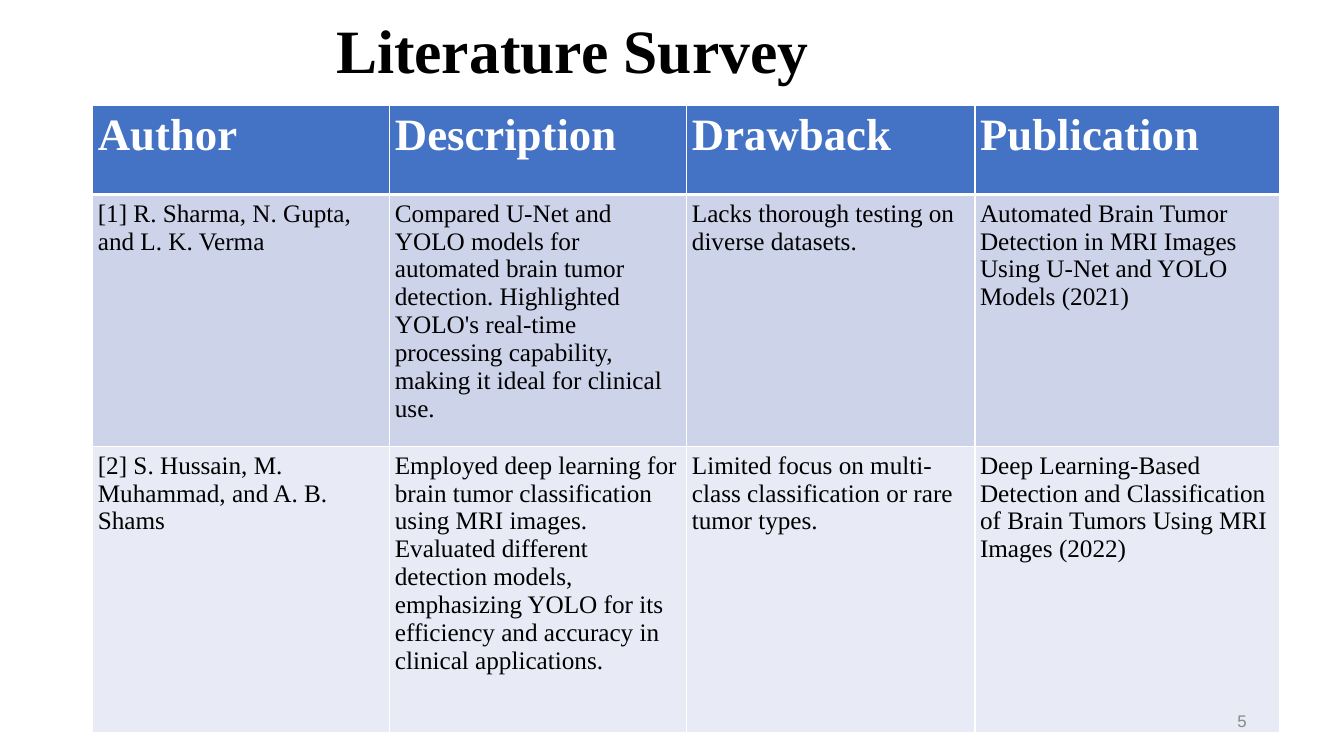
from dataclasses import dataclass

from lxml.etree import SubElement as Sub
from pptx import Presentation
from pptx.dml.color import RGBColor as Rgb
from pptx.enum.text import MSO_ANCHOR as Anchor, PP_ALIGN as Align
from pptx.oxml.ns import qn
from pptx.util import Pt


@dataclass(frozen=True)
class Theme:
    serif: str = "Times New Roman"
    sans: str = "Arial"
    black: str = "000000"
    white: str = "FFFFFF"
    gray: str = "888888"
    blue: str = "4472C4"
    bands: tuple = ("CDD4EA", "E8EBF5")
    title: int = 44
    head: int = 32
    body: int = 18
    small: int = 12
    inset: float = 3.6
    thin: int = 1
    thick: int = 3


class Deck:
    def __init__(self, theme):
        self.theme = theme
        self.file = Presentation()
        self.file.slide_width = Pt(960)
        self.file.slide_height = Pt(540)
        self.slide = self.file.slides.add_slide(self.file.slide_layouts[6])

    def style(self, para, face, size, color, bold=False):
        for run in para.runs:
            font = run.font
            font.name = face
            font.size = Pt(size)
            font.bold = bold
            font.color.rgb = Rgb.from_string(color)

    def pad(self, item):
        inset = Pt(self.theme.inset)
        item.margin_left = item.margin_right = inset
        item.margin_top = item.margin_bottom = inset

    def text(self, words, area, anchor, align, wrap, *look, pitch=1.0):
        box = self.slide.shapes.add_textbox(*map(Pt, area))
        frame = box.text_frame
        self.pad(frame)
        frame.word_wrap = wrap
        frame.vertical_anchor = anchor
        frame.text = words
        para = frame.paragraphs[0]
        para.alignment = align
        para.line_spacing = pitch
        self.style(para, *look)

    def edges(self, cell, widths):
        props = cell._tc.get_or_add_tcPr()
        for spot, (side, width) in enumerate(widths.items()):
            line = props.makeelement(qn(f"a:ln{side}"), {"w": str(Pt(width))})
            fill = Sub(line, qn("a:solidFill"))
            Sub(fill, qn("a:srgbClr"), val=self.theme.white)
            props.insert(spot, line)

    def cell(self, cell, words, row):
        theme = self.theme
        head = row == 0
        self.pad(cell)
        cell.fill.solid()
        shade = theme.blue if head else theme.bands[(row - 1) % 2]
        cell.fill.fore_color.rgb = Rgb.from_string(shade)
        cell.text = words
        size, color = (theme.head, theme.white) if head else (theme.body, theme.black)
        self.style(cell.text_frame.paragraphs[0], theme.serif, size, color, head)
        widths = dict.fromkeys("LRTB", theme.thin)
        if head:
            widths["B"] = theme.thick
        if row == 1:
            widths["T"] = theme.thick
        self.edges(cell, widths)

    def table(self, data, left, top, cols, rows):
        area = map(Pt, (left, top, sum(cols), sum(rows)))
        grid = self.slide.shapes.add_table(len(rows), len(cols), *area).table
        for col, width in zip(grid.columns, cols):
            col.width = Pt(width)
        for row, height in zip(grid.rows, rows):
            row.height = Pt(height)
        for r, line in enumerate(data):
            for c, words in enumerate(line):
                self.cell(grid.cell(r, c), words, r)

    def save(self):
        self.file.save("out.pptx")


SURVEY = [
    ("Author", "Description", "Drawback", "Publication"),
    (
        "[1] R. Sharma, N. Gupta, and L. K. Verma",
        "Compared U-Net and YOLO models for automated brain tumor detection. "
        "Highlighted YOLO's real-time processing capability, making it ideal "
        "for clinical use.",
        "Lacks thorough testing on diverse datasets.",
        "Automated Brain Tumor Detection in MRI Images Using U-Net and YOLO "
        "Models (2021)",
    ),
    (
        "[2] S. Hussain, M. Muhammad, and A. B. Shams",
        "Employed deep learning for brain tumor classification using MRI images. "
        "Evaluated different detection models, emphasizing YOLO for its "
        "efficiency and accuracy in clinical applications.",
        "Limited focus on multi-class classification or rare tumor types.",
        "Deep Learning-Based Detection and Classification of Brain Tumors Using "
        "MRI Images (2022)",
    ),
]


def main():
    theme = Theme()
    deck = Deck(theme)
    deck.text("Literature Survey", (62, 7.2, 694, 58.3), Anchor.BOTTOM,
              Align.CENTER, True, theme.serif, theme.title, theme.black, True,
              pitch=0.9)
    deck.table(SURVEY, 66.3, 75.2, (212.2, 212.2, 205.8, 217.8),
               (63.8, 147.6, 204.4))
    deck.text("5", (879.8, 505.4, 14.4, 19.4), Anchor.MIDDLE, Align.RIGHT,
              False, theme.sans, theme.small, theme.gray)
    deck.save()


if __name__ == "__main__":
    main()
